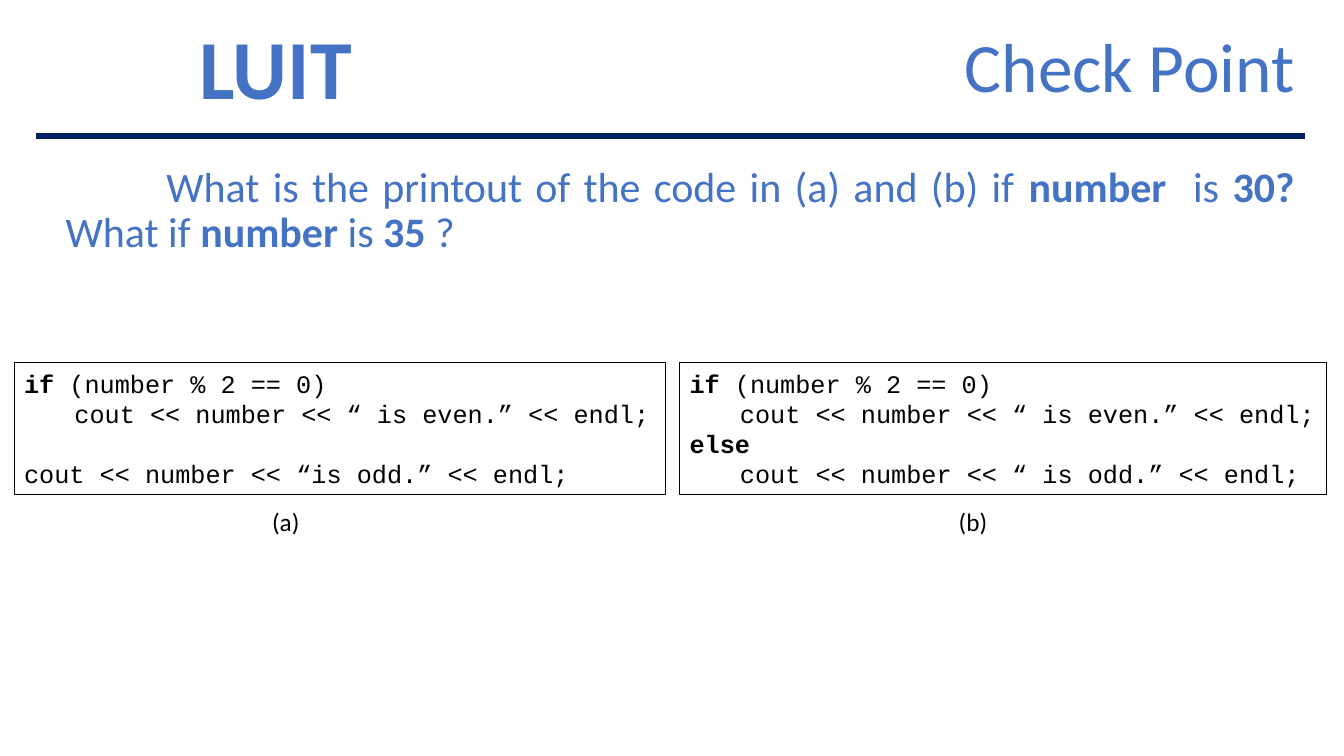
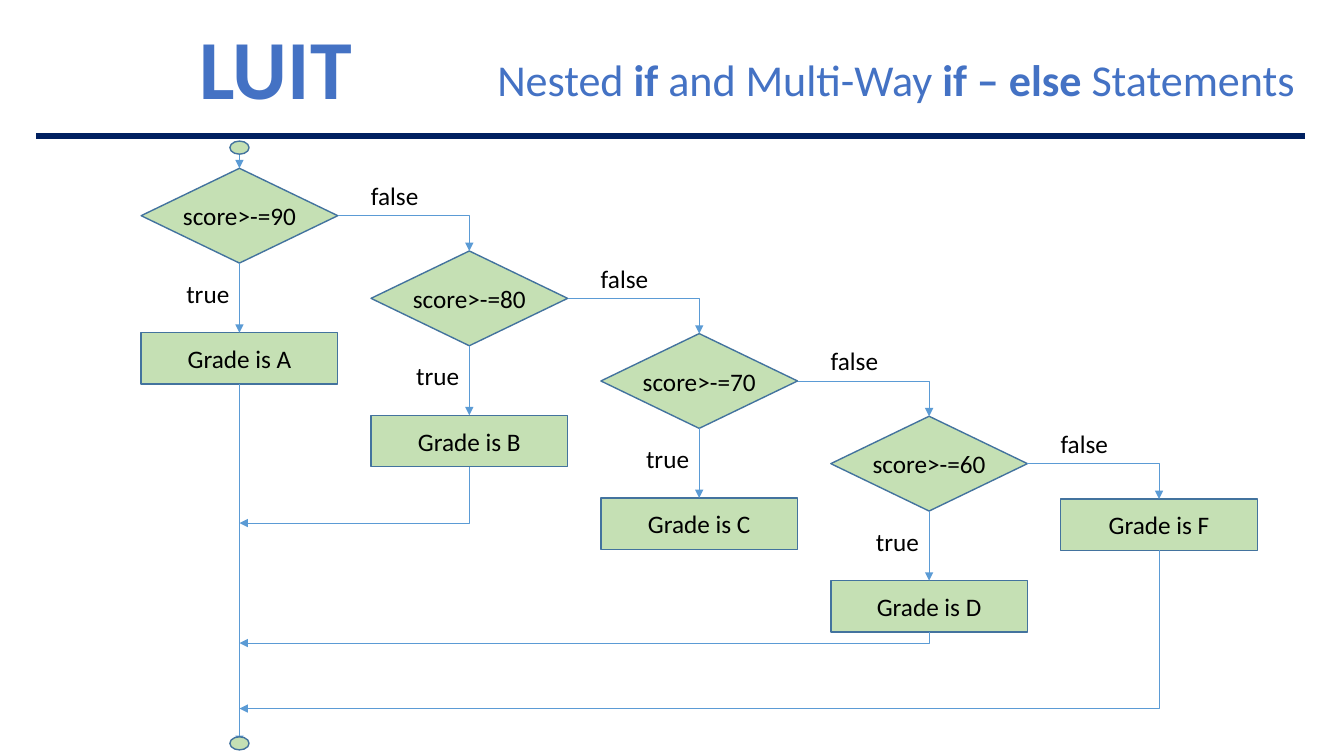
from dataclasses import dataclass

from lxml import etree
from pptx import Presentation
from pptx.dml.color import RGBColor
from pptx.enum import shapes, text
from pptx.oxml import ns
from pptx.util import Inches, Pt

SHAPE = shapes.MSO_SHAPE
ALIGN = text.PP_ALIGN
ANCHOR = text.MSO_ANCHOR
TOP, BOTTOM, RIGHT = 0, 2, 3


@dataclass(frozen=True)
class Theme:
    # Colours
    accent: str = "4472C4"
    rule: str = "002060"
    ink: str = "000000"
    node_fill: str = "C5E0B4"
    node_line: str = "43739E"
    arrow: str = "5B9BD5"
    # Fonts and sizes in points
    font: str = "Calibri"
    code_font: str = "Courier New"
    brand_size: float = 60
    title_size: float = 49.5
    long_title_size: float = 31.5
    body_size: float = 30
    text_size: float = 18
    code_pitch: float = 21.6


THEME = Theme()


def write(frame, content, first=True, font=THEME.font, size=THEME.text_size,
          color=THEME.ink, bold=False, align=ALIGN.LEFT, spacing=None,
          before=0, margin=0, indent=0):
    """Write one paragraph; stretches between asterisks are bold."""
    para = frame.paragraphs[0] if first else frame.add_paragraph()
    para.alignment = align
    para.space_before = Pt(before)
    if spacing:
        para.line_spacing = spacing
    props = para._p.get_or_add_pPr()
    props.set("marL", str(Inches(margin)))
    props.set("indent", str(Inches(indent)))
    etree.SubElement(props, ns.qn("a:buNone"))
    for number, part in enumerate(content.split("*")):
        if part:
            span = para.add_run()
            span.text = part
            span.font.name = font
            span.font.size = Pt(size)
            span.font.bold = bold or number % 2 == 1
            span.font.color.rgb = RGBColor.from_string(color)


class Slides:
    """Holds the style and the page being built."""

    def __init__(self, theme):
        self.theme = theme
        self.deck = Presentation()
        self.deck.slide_width = Inches(13.33)
        self.deck.slide_height = Inches(7.5)
        self.page = None

    def start(self, layout, title, left, size):
        """Add a page with its brand, rule and title."""
        theme = self.theme
        self.page = self.deck.slides.add_slide(self.deck.slide_layouts[layout])
        self.label("LUIT", 1.88, 0.26, 1.93, 0.81, size=theme.brand_size,
                   color=theme.accent, bold=True, align=ALIGN.JUSTIFY,
                   spacing=0.85, before=13)
        self.line((0.36, 1.35), (12.94, 1.35), theme.rule, 4.5)
        self.fill_placeholder(self.page.shapes.title, title,
                              (left, 0.33, 12.94 - left, 0.75), ANCHOR.BOTTOM,
                              size=size, align=ALIGN.RIGHT, spacing=0.7)

    def fill_placeholder(self, box, content, place, anchor, **style):
        box.left, box.top, box.width, box.height = map(Inches, place)
        frame = box.text_frame
        frame.auto_size = text.MSO_AUTO_SIZE.NONE
        frame.vertical_anchor = anchor
        write(frame, content, color=self.theme.accent, **style)

    def body(self, content):
        self.fill_placeholder(self.page.placeholders[1], content,
                              (0.36, 1.6, 12.58, 1.12), ANCHOR.TOP,
                              size=self.theme.body_size, align=ALIGN.JUSTIFY,
                              spacing=0.9, before=5, margin=0.19, indent=1)

    def label(self, content, left, top, width, height=0.4, **style):
        box = self.page.shapes.add_textbox(*map(Inches, (left, top, width, height)))
        box.text_frame.word_wrap = True
        write(box.text_frame, content, **style)

    def shape(self, kind, left, top, width, height, fill, line, weight):
        box = self.page.shapes.add_shape(kind, *map(Inches, (left, top, width, height)))
        box.shadow.inherit = False
        if fill:
            box.fill.solid()
            box.fill.fore_color.rgb = RGBColor.from_string(fill)
        else:
            box.fill.background()
        box.line.color.rgb = RGBColor.from_string(line)
        box.line.width = Pt(weight)
        return box

    def code(self, left, width, lines):
        """Draw a framed listing from (text, left margin, space before)."""
        theme = self.theme
        box = self.shape(SHAPE.RECTANGLE, left, 3.6, width, 1.31,
                         None, theme.ink, 0.75)
        frame = box.text_frame
        frame.vertical_anchor = ANCHOR.TOP
        for number, (content, margin, before) in enumerate(lines):
            write(frame, content, first=number == 0, font=theme.code_font,
                  spacing=Pt(theme.code_pitch), margin=margin, before=before)

    def node(self, kind, left, top, width, height, content=""):
        box = self.shape(kind, left, top, width, height,
                         self.theme.node_fill, self.theme.node_line, 1)
        if content:
            box.text_frame.word_wrap = False
            box.text_frame.vertical_anchor = ANCHOR.MIDDLE
            write(box.text_frame, content, align=ALIGN.CENTER)
        return box

    def line(self, start, end, color, weight, begin=None, finish=None,
             bent=False, arrow=None):
        """Join two points; begin and finish are (shape, side) to attach to."""
        kind = shapes.MSO_CONNECTOR.ELBOW if bent else shapes.MSO_CONNECTOR.STRAIGHT
        link = self.page.shapes.add_connector(kind, *map(Inches, (*start, *end)))
        if begin:
            link.begin_connect(*begin)
        if finish:
            link.end_connect(*finish)
        link.line.color.rgb = RGBColor.from_string(color)
        link.line.width = Pt(weight)
        props = link._element.spPr
        if bent:
            props.find(ns.qn("a:prstGeom")).set("prst", "bentConnector2")
        if arrow:
            etree.SubElement(props.find(ns.qn("a:ln")), ns.qn(arrow), type="triangle")
        etree.SubElement(props, ns.qn("a:effectLst"))

    def arrow(self, start, end, arrow="a:tailEnd", **joins):
        self.line(start, end, self.theme.arrow, 0.5, arrow=arrow, **joins)


def build_check_point(slides):
    slides.start(1, "Check Point", 5.17, THEME.title_size)
    slides.body("What is the printout of the code in (a) and (b) if *number * is "
                "*30? *What if *number *is *35 *?")

    # Listings and captions
    test = ("*if *(number % 2 == 0)", 0, 0)
    even = ("cout << number << “ is even.” << endl;", 0.5, 0)
    slides.code(0.14, 6.46, [
        test, even,
        ("cout << number << “is odd.” << endl;", 0, THEME.code_pitch)])
    slides.code(6.74, 6.42, [
        test, even, ("*else*", 0, 0),
        ("cout << number << “ is odd.” << endl;", 0.5, 0)])
    slides.label("(a)", 2.6, 4.97, 0.58)
    slides.label("(b)", 9.41, 4.97, 0.58)


def build_flowchart(slides):
    slides.start(5, "Nested *if *and Multi-Way *if – else *Statements",
                 4.19, THEME.long_title_size)
    left, top, step_x, step_y = 1.4, 1.67, 2.28, 0.82
    width, test_height, grade_height, grade_drop = 1.95, 0.94, 0.51, 1.63
    trunk = left + width / 2

    # Tests and grades descend in equal steps
    tests, grades = [], []
    for step, (score, grade) in enumerate(zip((90, 80, 70, 60), "ABCD")):
        x, y = left + step * step_x, top + step * step_y
        tests.append(slides.node(SHAPE.FLOWCHART_DECISION, x, y, width,
                                 test_height, f"score>-={score}"))
        grades.append(slides.node(SHAPE.RECTANGLE, x, y + grade_drop, width,
                                  grade_height, f"Grade is {grade}"))
        slides.label("true", x + 0.35, y + 1.04, 0.7)
        slides.label("false", x + 2.18, y + 0.07, 0.75)
    fail = slides.node(SHAPE.RECTANGLE, left + 4 * step_x, top + 4 * step_y,
                       width, grade_height, "Grade is F")

    # True branches go down, false branches go on to the next step
    origin = (0, 0)
    for test, grade, following in zip(tests, grades, tests[1:] + [fail]):
        slides.arrow(origin, origin, begin=(test, BOTTOM), finish=(grade, TOP))
        slides.arrow(origin, origin, begin=(test, RIGHT),
                     finish=(following, TOP), bent=True)

    # Trunk from start to end, with the returning branches
    slides.arrow((trunk, 1.54), (trunk, top), finish=(tests[0], TOP))
    slides.arrow((trunk, 3.81), (trunk, 7.38), begin=(grades[0], BOTTOM))
    for box, y in ((grades[1], 5.19), (grades[3], 6.38), (fail, 7.03)):
        slides.arrow((trunk, y), (trunk + 1, y - 0.1), arrow="a:headEnd",
                     finish=(box, BOTTOM), bent=True)
    for y in (1.4, 7.31):
        slides.node(SHAPE.OVAL, 2.28, y, 0.19, 0.13)


def main():
    slides = Slides(THEME)
    build_check_point(slides)
    build_flowchart(slides)
    slides.deck.save("out.pptx")


if __name__ == "__main__":
    main()
